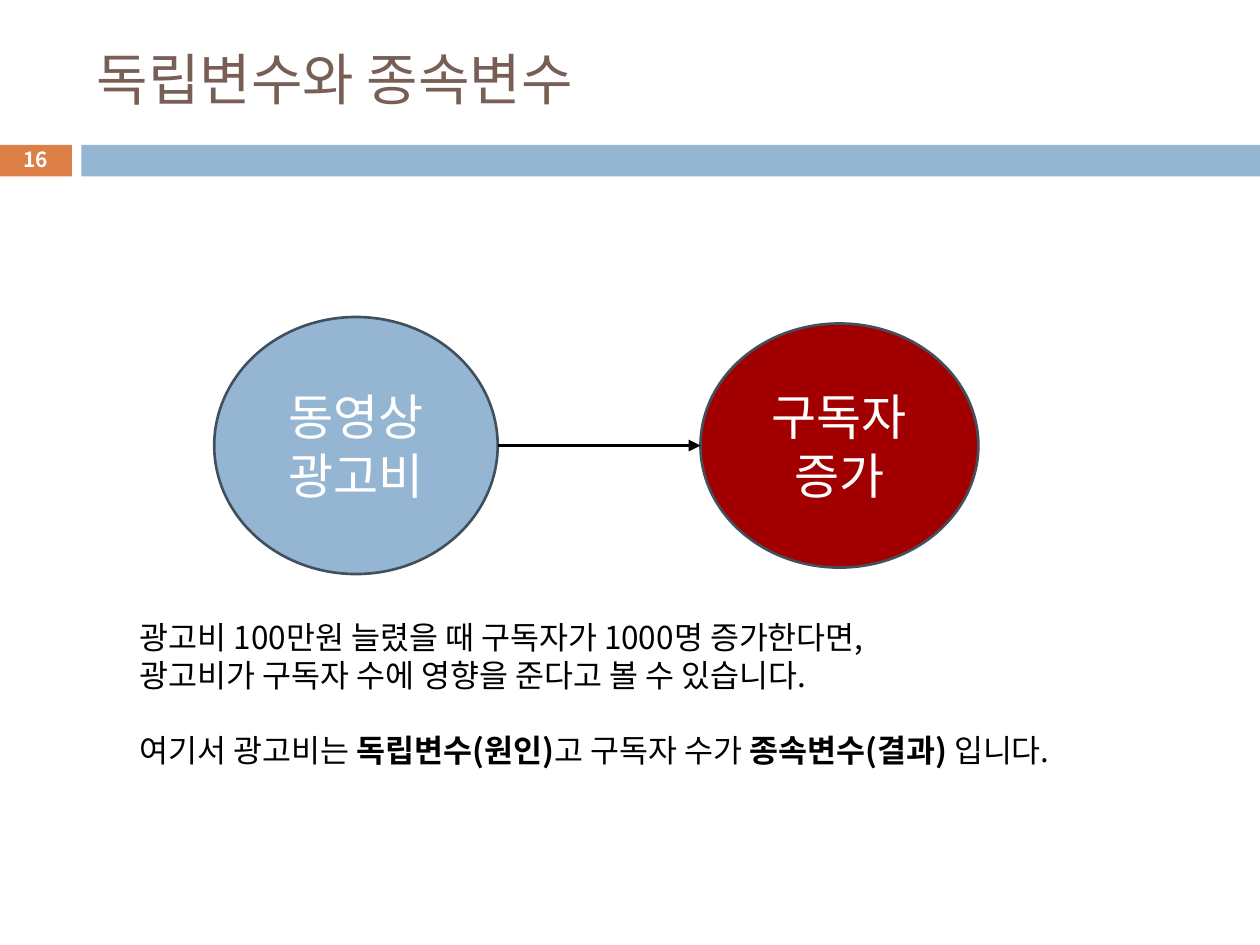
from lxml.etree import SubElement
from pptx import Presentation
from pptx.dml.color import RGBColor
from pptx.enum.shapes import MSO_CONNECTOR, MSO_SHAPE
from pptx.enum.text import MSO_ANCHOR, PP_ALIGN
from pptx.oxml.ns import qn
from pptx.util import Pt

FONT = "Noto Sans CJK KR"
COLORS = {
    "orange": "DD8047",
    "blue": "94B6D2",
    "red": "A20000",
    "brown": "775F55",
    "outline": "41505C",
    "white": "FFFFFF",
    "black": "000000",
}
BAND_TOP, BAND_HEIGHT = 82.8, 18
CENTER_Y = 254.6


def rgb(name):
    return RGBColor.from_string(COLORS[name])


def write_text(shape, paragraphs, size, color, bold=False, align=PP_ALIGN.LEFT,
               anchor=MSO_ANCHOR.MIDDLE, leading=None, gaps=None):
    """Fill a shape; each paragraph is a list of texts, every second one bold."""
    frame = shape.text_frame
    frame.word_wrap = True
    frame.vertical_anchor = anchor
    for index, texts in enumerate(paragraphs):
        para = frame.paragraphs[0] if index == 0 else frame.add_paragraph()
        para.alignment = align
        if leading:
            para.line_spacing = Pt(leading)
        if gaps and index in gaps:
            para.space_before = Pt(gaps[index])
        for position, text in enumerate(texts):
            span = para.add_run()
            span.text = text
            span.font.name = FONT
            span.font.size = Pt(size)
            span.font.bold = bold or position % 2 == 1
            span.font.color.rgb = rgb(color)
            SubElement(span.font._element, qn("a:ea"), typeface=FONT)


def add_box(page, left, top, width, height):
    return page.shapes.add_textbox(Pt(left), Pt(top), Pt(width), Pt(height))


def add_filled(page, kind, left, top, width, height, fill, outline=None):
    shape = page.shapes.add_shape(kind, Pt(left), Pt(top), Pt(width), Pt(height))
    shape.shadow.inherit = False
    shape.fill.solid()
    shape.fill.fore_color.rgb = rgb(fill)
    if outline:
        shape.line.color.rgb = rgb(outline)
        shape.line.width = Pt(1.5)
    else:
        shape.line.fill.background()
    return shape


def add_variable(page, left, width, height, fill, words):
    """Draw one variable as an ellipse centred on the arrow's height."""
    ellipse = add_filled(page, MSO_SHAPE.OVAL, left, CENTER_Y - height / 2,
                         width, height, fill, outline="outline")
    write_text(ellipse, [[words]], size=28, color="white",
               align=PP_ALIGN.CENTER, leading=33.7)
    return ellipse


def add_arrow(page, start, end):
    """Join the right side of one ellipse to the left side of another."""
    arrow = page.shapes.add_connector(
        MSO_CONNECTOR.STRAIGHT, start.left + start.width, Pt(CENTER_Y),
        end.left, Pt(CENTER_Y))
    arrow.line.color.rgb = rgb("black")
    arrow.line.width = Pt(2.25)
    SubElement(arrow.line._get_or_add_ln(), qn("a:tailEnd"), type="triangle")
    SubElement(arrow._element.spPr, qn("a:effectLst"))


def main():
    deck = Presentation()
    deck.slide_width, deck.slide_height = Pt(720), Pt(540)
    page = deck.slides.add_slide(deck.slide_layouts[6])

    add_filled(page, MSO_SHAPE.RECTANGLE, -0.7, BAND_TOP, 41.8, BAND_HEIGHT, "orange")
    add_filled(page, MSO_SHAPE.RECTANGLE, 46.5, BAND_TOP, 673.5, BAND_HEIGHT, "blue")
    write_text(add_box(page, 48.2, 18, 642, 53.3), [["독립변수와 종속변수"]],
               size=32, color="brown")
    write_text(add_box(page, -0.7, 81.4, 41.8, 19.4), [["16"]],
               size=11.9, color="white", bold=True, align=PP_ALIGN.CENTER)

    cause = add_variable(page, 122.4, 162, 146.9, "blue", "동영상광고비")
    effect = add_variable(page, 400.3, 158.8, 139.5, "red", "구독자 증가")
    add_arrow(page, cause, effect)

    explanation = [
        ["광고비 100만원 늘렸을 때 구독자가 1000명 증가한다면,"],
        ["광고비가 구독자 수에 영향을 준다고 볼 수 있습니다."],
        ["여기서 광고비는 ", "독립변수(원인)", "고 구독자 수가 ", "종속변수(결과)", " 입니다."],
    ]
    write_text(add_box(page, 72.7, 349.9, 592.6, 94.3), explanation, size=18,
               color="black", anchor=MSO_ANCHOR.TOP, leading=21.4, gaps={2: 21.4})

    deck.save("out.pptx")


if __name__ == "__main__":
    main()
